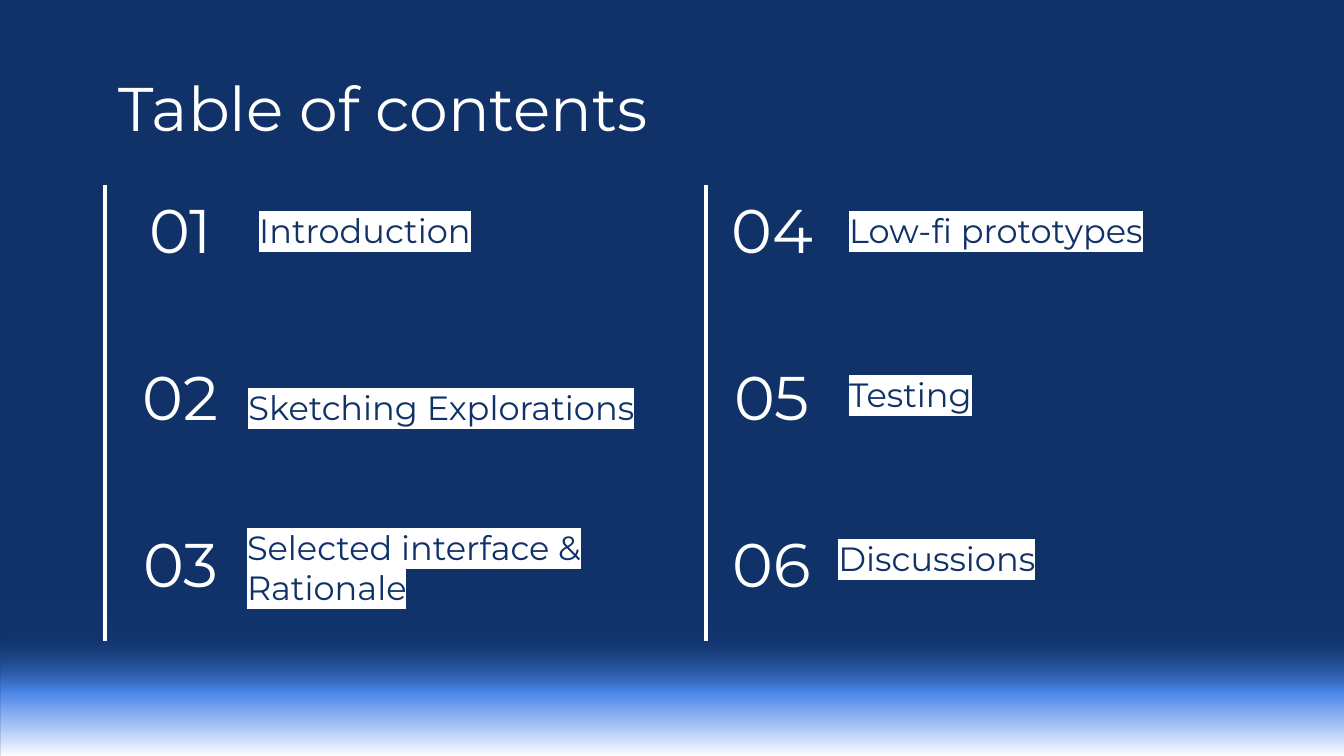
from lxml.etree import SubElement
from pptx import Presentation
from pptx.dml.color import RGBColor
from pptx.enum.shapes import MSO_CONNECTOR, MSO_SHAPE
from pptx.enum.text import MSO_ANCHOR, MSO_AUTO_SIZE, PP_ALIGN
from pptx.oxml import parse_xml
from pptx.oxml.ns import nsdecls, qn
from pptx.util import Inches, Pt

COLORS = {"navy": "103269", "deep": "1C4587", "blue": "4A86E8", "white": "FFFFFF"}
FONT = "Montserrat"
ROW_STEP = 1.24


def rgb(name):
    """Return the named palette colour."""
    return RGBColor.from_string(COLORS[name])


def write(sp, text, size=33, color="white", highlight=None,
          align=PP_ALIGN.LEFT, anchor=MSO_ANCHOR.TOP):
    """Put one formatted paragraph in a shape."""
    tf = sp.text_frame
    tf.word_wrap = True
    tf.auto_size = MSO_AUTO_SIZE.NONE
    tf.vertical_anchor = anchor
    tf.margin_left = tf.margin_right = tf.margin_top = tf.margin_bottom = Inches(0.1)
    p = tf.paragraphs[0]
    p.alignment = align
    r = p.add_run()
    r.text = text
    r.font.size = Pt(size)
    r.font.name = FONT
    r.font.color.rgb = rgb(color)
    if highlight:
        rPr = r.font._element
        mark = SubElement(rPr, qn("a:highlight"))
        SubElement(mark, qn("a:srgbClr"), val=COLORS[highlight])
        rPr.find(qn("a:solidFill")).addnext(mark)


def add_text(s, box, text, **fmt):
    """Add a text box holding formatted text."""
    write(s.shapes.add_textbox(*map(Inches, box)), text, **fmt)


def add_glow(s, box):
    """Add the gradient band that fades into the background."""
    sp = s.shapes.add_shape(MSO_SHAPE.RECTANGLE, *map(Inches, box))
    sp.shadow.inherit = False
    sp.line.fill.background()
    sp.rotation = 180
    stops = [(0, "deep", 0), (32, "deep", 15), (63, "blue", 100), (100, "white", 100)]
    gs = "".join(
        f'<a:gs pos="{pos * 1000}"><a:srgbClr val="{COLORS[name]}">'
        f'<a:alpha val="{alpha * 1000}"/></a:srgbClr></a:gs>'
        for pos, name, alpha in stops)
    sp._element.spPr.find(qn("a:prstGeom")).addnext(parse_xml(
        f'<a:gradFill {nsdecls("a")} rotWithShape="1"><a:gsLst>{gs}</a:gsLst>'
        '<a:lin ang="16200000" scaled="0"/></a:gradFill>'))


def add_title(s, box, text):
    """Place the slide title."""
    sp = s.shapes.title
    sp.left, sp.top, sp.width, sp.height = map(Inches, box)
    write(sp, text, anchor=MSO_ANCHOR.MIDDLE)


def add_rule(s, x, top, height):
    """Add a vertical white rule."""
    line = s.shapes.add_connector(
        MSO_CONNECTOR.STRAIGHT, *map(Inches, (x, top, x, top + height)))
    line.line.color.rgb = rgb("white")
    line.line.width = Pt(2.25)
    SubElement(line._element.spPr, qn("a:effectLst"))


def add_column(s, left, top, rule_x, first, entries):
    """Add numbered entries, each with its own label offset and width."""
    for i, (text, dx, dy, width) in enumerate(entries):
        y = top + i * ROW_STEP
        add_text(s, (left, y, 0.97, 0.75), f"{first + i:02d}", align=PP_ALIGN.CENTER)
        add_text(s, (left + dx, y + dy, width, 0.45), text, size=18, color="navy",
                 highlight="white", anchor=MSO_ANCHOR.BOTTOM)
    add_rule(s, rule_x, top + 0.05, 3.39)


def main():
    """Build the contents slide."""
    prs = Presentation()
    prs.slide_width = Inches(10)
    prs.slide_height = prs.slide_width * 9 // 16
    s = prs.slides.add_slide(prs.slide_layouts[5])
    s.background.fill.solid()
    s.background.fill.fore_color.rgb = rgb("navy")
    add_glow(s, (0, 4.33, 10, 1.3))
    add_title(s, (0.78, 0.35, 8.44, 0.89), "Table of contents")
    add_column(s, 0.86, 1.33, 0.78, 1, [
        ("Introduction", 0.97, 0.18, 3.11),
        ("Sketching Explorations", 0.89, 0.26, 3.11),
        ("Selected interface & Rationale", 0.88, 0.36, 3.4),
    ])
    add_column(s, 5.26, 1.33, 5.25, 4, [
        ("Low-fi prototypes", 0.96, 0.18, 3.29),
        ("Testing", 0.96, 0.16, 3.11),
        ("Discussions", 0.88, 0.14, 3.11),
    ])
    prs.save("out.pptx")


if __name__ == "__main__":
    main()
